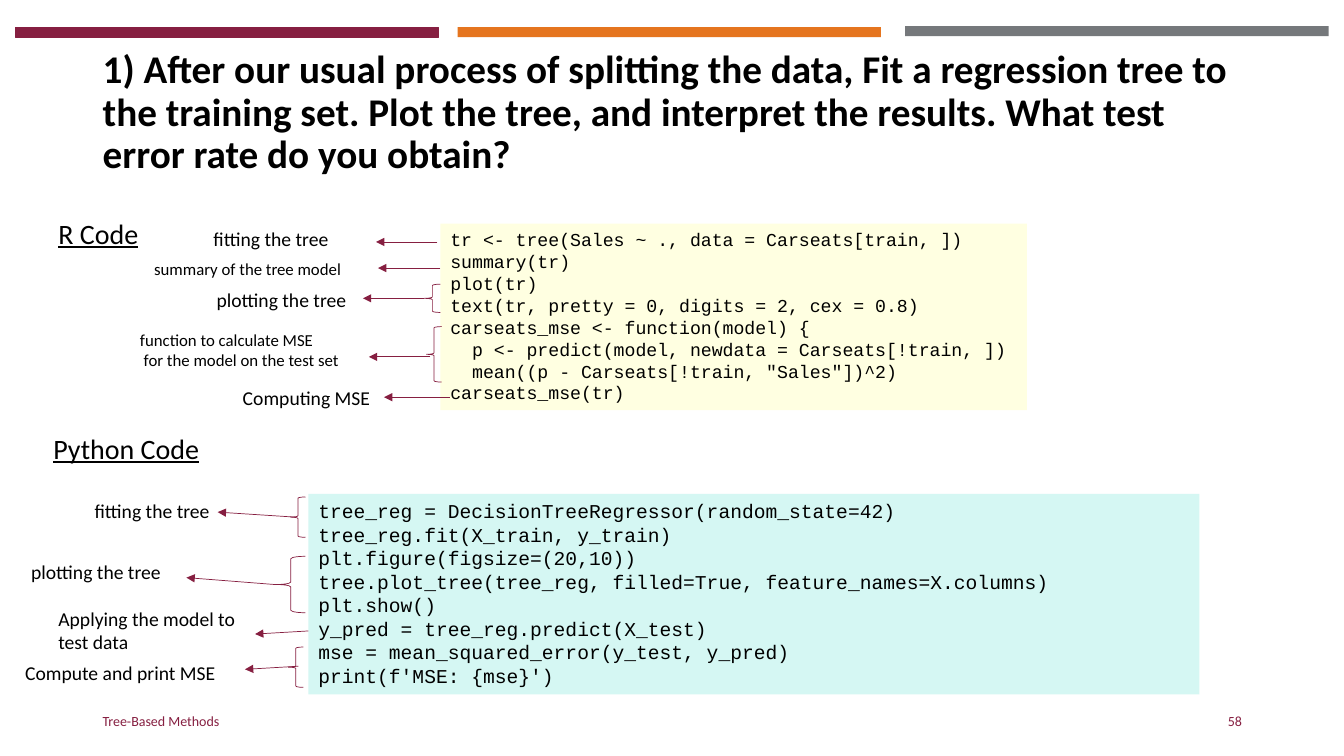
from lxml.etree import SubElement
from pptx import Presentation
from pptx.dml.color import RGBColor
from pptx.enum.shapes import MSO_CONNECTOR, MSO_SHAPE
from pptx.enum.text import MSO_ANCHOR, PP_ALIGN
from pptx.oxml.ns import qn
from pptx.util import Pt

MAROON = RGBColor(0x86, 0x1F, 0x41)
ORANGE = RGBColor(0xE5, 0x75, 0x1F)
GRAY = RGBColor(0x75, 0x78, 0x7B)
CREAM = RGBColor(0xFF, 0xFF, 0xE1)
MINT = RGBColor(0xD5, 0xF7, 0xF3)
BLACK = RGBColor(0, 0, 0)

presentation = Presentation()
presentation.slide_width, presentation.slide_height = Pt(960), Pt(540)
slide = presentation.slides.add_slide(presentation.slide_layouts[5])


def write(shape, text, size, font="Calibri", color=BLACK, anchor=MSO_ANCHOR.TOP):
    frame = shape.text_frame
    frame.text = text
    frame.word_wrap = True
    frame.vertical_anchor = anchor
    for paragraph in frame.paragraphs:
        paragraph.alignment = PP_ALIGN.LEFT
        for run in paragraph.runs:
            run.font.name = font
            run.font.size = Pt(size)
            run.font.color.rgb = color
    return frame.paragraphs[0]


def add_box(kind, left, top, width, height, fill=None):
    shape = slide.shapes.add_shape(kind, Pt(left), Pt(top), Pt(width), Pt(height))
    shape.shadow.inherit = False
    if fill is None:
        shape.fill.background()
        shape.line.color.rgb = MAROON
        shape.line.width = Pt(0.5)
    else:
        shape.fill.solid()
        shape.fill.fore_color.rgb = fill
        shape.line.fill.background()
    return shape


# Bars along the top
for left, top, color in [(10.8, 19.4, MAROON), (326.9, 19.4, ORANGE), (646.6, 18.7, GRAY)]:
    bar = add_box(MSO_SHAPE.RECTANGLE, left, top, 302.4, 7.2, color)
    if color == MAROON:
        bar.line.color.rgb = MAROON
        bar.line.width = Pt(0.75)

# Title
title = slide.shapes.title
title.left, title.top, title.width, title.height = Pt(66.2), Pt(28.8), Pt(828), Pt(104.4)
paragraph = write(
    title,
    "1) After our usual process of splitting the data, Fit a regression tree to the "
    "training set. Plot the tree, and interpret the results. What test error rate do you obtain?",
    28, anchor=MSO_ANCHOR.MIDDLE)
paragraph.line_spacing = 0.9
paragraph.runs[0].font.bold = True

# Section headings
for text, left, top in [("R Code", 34.6, 140.4), ("Python Code", 31, 293.8)]:
    heading = slide.shapes.add_textbox(Pt(left), Pt(top), Pt(159.8), Pt(40.3))
    paragraph = write(heading, text, 20, anchor=MSO_ANCHOR.MIDDLE)
    paragraph.line_spacing = 1.5
    paragraph.space_after = Pt(12)
    paragraph.runs[0].font.underline = True

# Code blocks
R_CODE = """tr <- tree(Sales ~ ., data = Carseats[train, ])
summary(tr)
plot(tr)
text(tr, pretty = 0, digits = 2, cex = 0.8)
carseats_mse <- function(model) {
  p <- predict(model, newdata = Carseats[!train, ])
  mean((p - Carseats[!train, "Sales"])^2)
carseats_mse(tr)"""
PYTHON_CODE = """tree_reg = DecisionTreeRegressor(random_state=42)
tree_reg.fit(X_train, y_train)
plt.figure(figsize=(20,10))
tree.plot_tree(tree_reg, filled=True, feature_names=X.columns)
plt.show()
y_pred = tree_reg.predict(X_test)
mse = mean_squared_error(y_test, y_pred)
print(f'MSE: {mse}')"""
for code, size, fill, left, top, width, height in [
    (R_CODE, 13, CREAM, 314.6, 159.8, 419, 133.2),
    (PYTHON_CODE, 14, MINT, 220.3, 352.8, 636.5, 143.3),
]:
    write(add_box(MSO_SHAPE.RECTANGLE, left, top, width, height, fill), code, size, "Courier New")

# Labels: text, size, left, top, width, height
for text, size, left, top, width, height in [
    ("fitting the tree", 14, 145.4, 158.4, 134.6, 24.5),
    ("summary of the tree model", 12, 103, 181.4, 159.8, 36),
    ("plotting the tree", 14, 147.6, 202.3, 134.6, 24.5),
    ("function to calculate MSE\n for the model on the test set", 12, 92.9, 231.8, 173.5, 51.1),
    ("Computing MSE", 14, 166.3, 272.2, 122.4, 41),
    ("fitting the tree", 14, 60.5, 352.8, 134.6, 24.5),
    ("plotting the tree", 14, 15.1, 396.7, 124.6, 41),
    ("Applying the model to test data", 14, 34.6, 429.8, 149, 41),
    ("Compute and print MSE", 14, 10.8, 468.7, 164.2, 41),
]:
    label = slide.shapes.add_textbox(Pt(left), Pt(top), Pt(width), Pt(height))
    write(label, text, size)

# Braces around grouped code lines
for left, top, width, height in [
    (303.1, 203, 11.5, 20.2), (304.6, 233.3, 10.8, 39.6), (207.4, 355, 10.8, 28.8),
    (197.3, 397.4, 20.9, 40.3), (205.9, 462.2, 10.8, 28.8),
]:
    add_box(MSO_SHAPE.LEFT_BRACE, left, top, width, height)

# Arrows from code to labels
for start_x, start_y, end_x, end_y in [
    (312.5, 172.8, 268.6, 172.8), (314.6, 191.5, 270, 191.5), (303.1, 213.1, 259.2, 213.1),
    (307.4, 254.9, 263.5, 254.9), (321.1, 283.7, 274.3, 283.7), (211, 369.4, 155.5, 365.8),
    (197.3, 417.6, 133.2, 412.6), (220.3, 450.7, 182.2, 452.9), (213.1, 475.9, 175, 478.1),
]:
    arrow = slide.shapes.add_connector(
        MSO_CONNECTOR.STRAIGHT, Pt(start_x), Pt(start_y), Pt(end_x), Pt(end_y))
    arrow.line.color.rgb = MAROON
    arrow.line.width = Pt(0.5)
    SubElement(arrow.line._get_or_add_ln(), qn("a:tailEnd"), type="triangle")
    SubElement(arrow._element.spPr, qn("a:effectLst"))

# Footer and slide number
for text, left, width, alignment in [
    ("Tree-Based Methods", 66.2, 324, PP_ALIGN.LEFT), ("58", 678.2, 216, PP_ALIGN.RIGHT),
]:
    footer = slide.shapes.add_textbox(Pt(left), Pt(500.4), Pt(width), Pt(28.8))
    write(footer, text, 10, color=MAROON, anchor=MSO_ANCHOR.MIDDLE).alignment = alignment

presentation.save("out.pptx")
